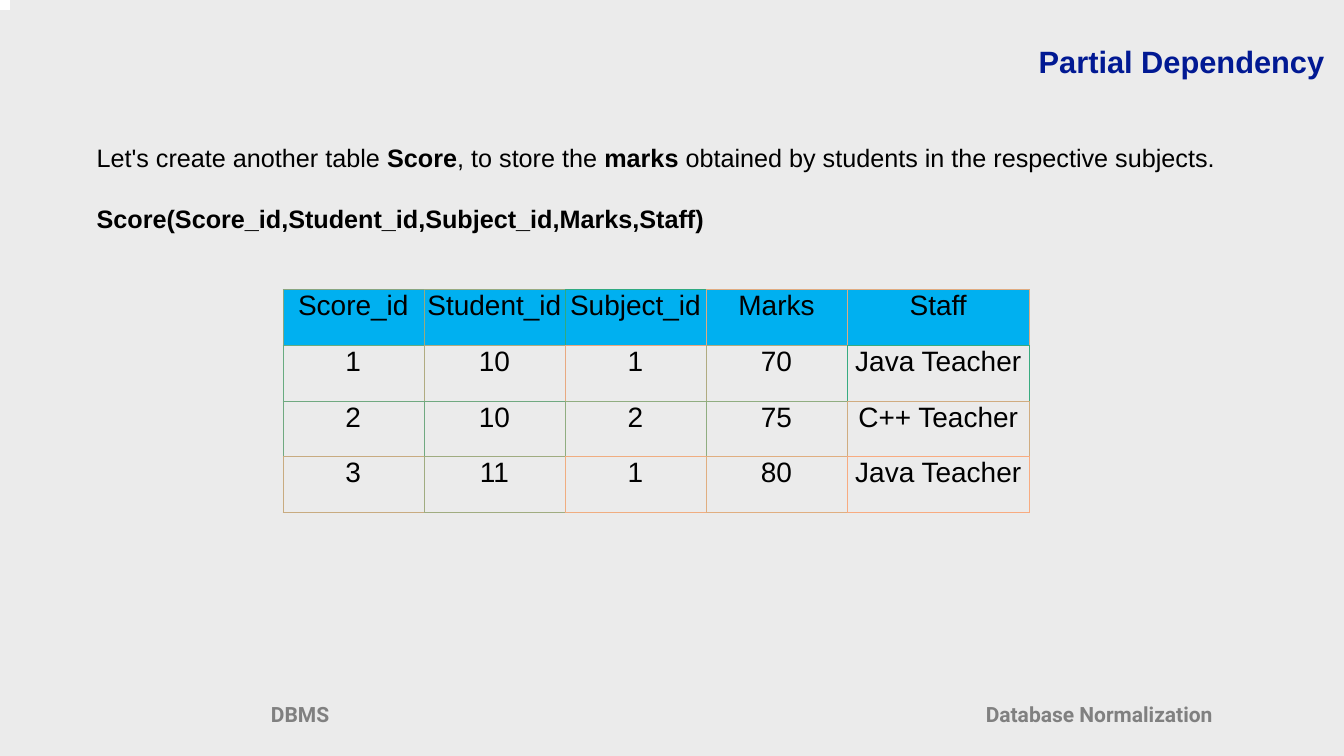
"""Build the Partial Dependency slide with its Score table."""
from lxml.etree import SubElement
from pptx import Presentation
from pptx.dml.color import RGBColor
from pptx.enum.shapes import MSO_SHAPE
from pptx.enum.text import MSO_ANCHOR, MSO_AUTO_SIZE, PP_ALIGN
from pptx.oxml.ns import qn
from pptx.util import Cm, Pt

HUES = {"back": "EBEBEB", "title": "011993", "text": "000000",
        "foot": "808080", "head": "00B0F0", "white": "FFFFFF"}


def write(para, text, size, hue="text", bold=False, face="Arial"):
    run = para.add_run()
    run.text = text
    run.font.size = Pt(size)
    run.font.name = face
    run.font.bold = bold
    run.font.color.rgb = RGBColor.from_string(HUES[hue])


def place(shape, left, top, width, height, inset=0.15):
    shape.left, shape.top = Cm(left), Cm(top)
    shape.width, shape.height = Cm(width), Cm(height)
    frame = shape.text_frame
    frame.word_wrap = True
    frame.auto_size = MSO_AUTO_SIZE.NONE
    frame.vertical_anchor = MSO_ANCHOR.MIDDLE
    frame.margin_left = frame.margin_right = Cm(inset)
    frame.margin_top = frame.margin_bottom = Cm(0.15)
    return frame


deck = Presentation()
deck.slide_width, deck.slide_height = Cm(67.74), Cm(38.1)
slide = deck.slides.add_slide(deck.slide_layouts[1])
slide.background.fill.solid()
slide.background.fill.fore_color.rgb = RGBColor.from_string(HUES["back"])
shapes = slide.shapes

for text, left in (("DBMS", 6.91), ("Database Normalization", 47.19)):
    box = shapes.add_textbox(0, 0, 0, 0)
    para = place(box, left, 35.2, 16.43, 1.57).paragraphs[0]
    para.alignment = PP_ALIGN.CENTER
    write(para, text, 30, "foot", True, "Roboto")

para = place(shapes.title, 24.71, 1.98, 42.21, 2.16).paragraphs[0]
para.alignment = PP_ALIGN.RIGHT
write(para, "Partial Dependency", 44, "title", True)

block = shapes.add_shape(MSO_SHAPE.RECTANGLE, Cm(0), Cm(-0.5), Cm(0.5), Cm(1))
block.shadow.inherit = False
block.fill.solid()
block.fill.fore_color.rgb = RGBColor.from_string(HUES["white"])
block.line.fill.background()

frame = place(slide.placeholders[1], 4.62, 7.04, 58.24, 6.4, 0.25)
frame.vertical_anchor = MSO_ANCHOR.TOP
lines = [
    [("Let's create another table ", False), ("Score", True),
     (", to store the ", False), ("marks", True),
     (" obtained by students in the respective subjects.", False)],
    [("Score(Score_id,Student_id,Subject_id,Marks,Staff)", True)],
]
for i, line in enumerate(lines):
    para = frame.add_paragraph() if i else frame.paragraphs[0]
    props = para._p.get_or_add_pPr()
    props.set("marL", "0")
    props.set("indent", "0")
    SubElement(props, qn("a:buNone"))
    para.space_before = Pt(44 if i else 0)
    for text, bold in line:
        write(para, text, 36, bold=bold)

rows = [
    ["Score_id", "Student_id", "Subject_id", "Marks", "Staff"],
    ["1", "10", "1", "70", "Java Teacher"],
    ["2", "10", "2", "75", "C++ Teacher"],
    ["3", "11", "1", "80", "Java Teacher"],
]
rules = [
    ["88A680", "98AB80", "30AA80", "E0AB80", "E0AB80"],
    ["68AB80", "B0AB80", "E8A980", "B0AB80", "38AB80"],
    ["70A980", "70A980", "90AD80", "90AD80", "D0AC80"],
    ["C8AB80", "A0AC80", "F0AD80", "E0AE80", "F8AB80"],
]
table = shapes.add_table(4, 5, Cm(14.25), Cm(14.58), Cm(37.63), Cm(11.24)).table
table.first_row = table.horz_banding = False
for col, width in zip(table.columns, [7.11] * 4 + [9.19]):
    col.width = Cm(width)
for r, row in enumerate(rows):
    table.rows[r].height = Cm(2.81)
    for c, text in enumerate(row):
        cell = table.cell(r, c)
        cell.margin_left = cell.margin_right = Cm(0.13)
        cell.margin_top = cell.margin_bottom = Cm(0.05)
        para = cell.text_frame.paragraphs[0]
        para.alignment = PP_ALIGN.CENTER
        write(para, text, 40)
        own = rules[r][c]
        sides = {"L": own, "R": rules[r][min(c + 1, 4)],
                 "T": own, "B": rules[min(r + 1, 3)][c]}
        for side, hue in sides.items():
            edge = SubElement(cell._tc.get_or_add_tcPr(), qn(f"a:ln{side}"),
                              w=str(Pt(0.75)))
            paint = SubElement(edge, qn("a:solidFill"))
            SubElement(paint, qn("a:srgbClr"), val=hue)
        if r:
            cell.fill.background()
        else:
            cell.fill.solid()
            cell.fill.fore_color.rgb = RGBColor.from_string(HUES["head"])

deck.save("out.pptx")
